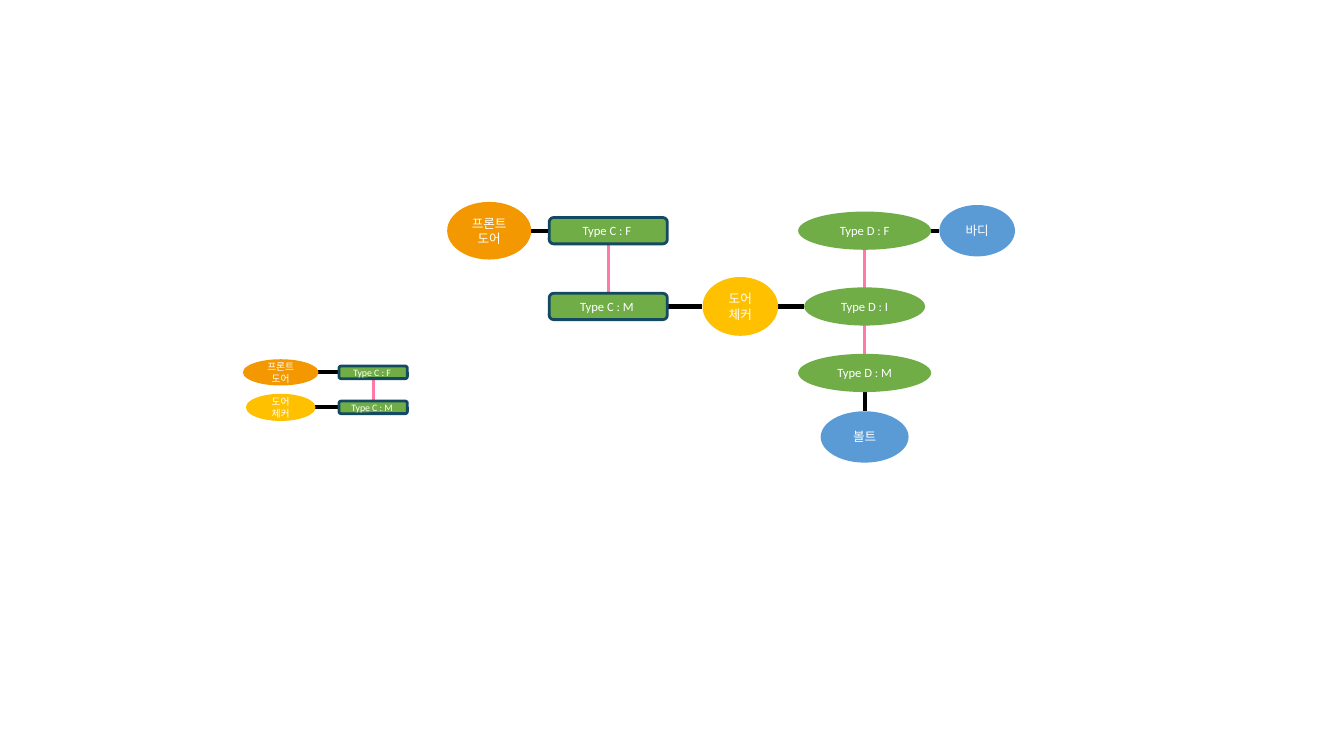
from dataclasses import dataclass

from lxml import etree
from pptx import Presentation
from pptx.dml.color import RGBColor
from pptx.enum.shapes import MSO_CONNECTOR, MSO_SHAPE
from pptx.enum.text import MSO_ANCHOR, PP_ALIGN
from pptx.oxml.ns import qn
from pptx.shapes.group import GroupShape
from pptx.text.text import TextFrame
from pptx.util import Pt

ELLIPSE = MSO_SHAPE.OVAL
ROUNDED = MSO_SHAPE.ROUNDED_RECTANGLE
STRAIGHT = MSO_CONNECTOR.STRAIGHT
MIDDLE = MSO_ANCHOR.MIDDLE
CENTER = PP_ALIGN.CENTER

FONT = "Calibri"
COLORS = {
    "door": "F39800",
    "checker": "FFC000",
    "part": "5B9BD5",
    "type": "70AD47",
    "border": "144962",
    "joint": "000000",
    "mating": "FF79A9",
    "text": "FFFFFF",
}
LINK_WIDTHS = {"joint": 3, "mating": 2.25}
BORDER_WIDTH = 2


@dataclass(frozen=True)
class Node:
    """A labelled shape placed by its centre, in points."""
    text: str
    color: str
    x: float
    y: float
    width: float
    height: float
    bordered: bool = False


@dataclass(frozen=True)
class Link:
    """A joint runs sideways or down between two node edges."""
    start: str
    end: str
    kind: str = "joint"
    vertical: bool = False


@dataclass(frozen=True)
class Diagram:
    font_size: float
    nodes: dict[str, Node]
    links: list[Link]


# Row and column centres
SMALL_TOP, SMALL_BOTTOM = 266, 291
SMALL_LEFT, SMALL_RIGHT = 200.5, 266.6
TOP, MIDDLE_ROW, LOWER, BOTTOM = 164.8, 218.9, 266.4, 312.1
TYPE_C, TYPE_D = 434.5, 617.6

DIAGRAMS = [
    # Small front door and checker pair
    Diagram(
        7,
        {
            "checker": Node("도어\n체커", "checker", SMALL_LEFT, SMALL_BOTTOM, 49.7, 19.4),
            "door": Node("프론트 도어", "door", SMALL_LEFT, SMALL_TOP, 54, 18.8),
            "C:F": Node("Type C : F ", "type", SMALL_RIGHT, SMALL_TOP, 48.8, 9, True),
            "C:M": Node("Type C : M ", "type", SMALL_RIGHT, SMALL_BOTTOM, 48.8, 9, True),
        },
        [
            Link("door", "C:F"),
            Link("checker", "C:M"),
            Link("C:F", "C:M", "mating", True),
        ],
    ),
    # Full assembly
    Diagram(
        9,
        {
            "checker": Node("도어\n체커", "checker", 528.8, MIDDLE_ROW, 54, 42),
            "door": Node("프론트 도어", "door", 349.4, TOP, 60, 41.2),
            "body": Node("바디", "part", 698, TOP, 54, 36.7),
            "C:F": Node("Type C : F ", "type", TYPE_C, TOP, 84.4, 18.8, True),
            "C:M": Node("Type C : M ", "type", TYPE_C, MIDDLE_ROW, 84.4, 18.8, True),
            "D:I": Node("Type D : I", "type", TYPE_D, MIDDLE_ROW, 86.4, 27.3),
            "D:F": Node("Type D : F", "type", TYPE_D, TOP, 95, 27.3),
            "bolt": Node("볼트", "part", TYPE_D, BOTTOM, 62.8, 36.7),
            "D:M": Node("Type D : M", "type", TYPE_D, LOWER, 95, 27.3),
        },
        [
            Link("D:F", "D:M", "mating", True),
            Link("checker", "D:I"),
            Link("door", "C:F"),
            Link("D:F", "body"),
            Link("C:M", "checker"),
            Link("D:M", "bolt", vertical=True),
            Link("C:F", "C:M", "mating", True),
        ],
    ),
]


def color_of(name: str) -> RGBColor:
    return RGBColor.from_string(COLORS[name])


def write_text(frame: TextFrame, text: str, *, size: float, color: str) -> None:
    frame.word_wrap = True
    frame.vertical_anchor = MIDDLE
    frame.text = text
    for paragraph in frame.paragraphs:
        paragraph.alignment = CENTER
        for run in paragraph.runs:
            run.font.name = FONT
            run.font.size = Pt(size)
            run.font.color.rgb = color_of(color)


def draw_node(group: GroupShape, node: Node, font_size: float) -> None:
    shape = group.shapes.add_shape(
        ROUNDED if node.bordered else ELLIPSE,
        Pt(node.x - node.width / 2), Pt(node.y - node.height / 2),
        Pt(node.width), Pt(node.height),
    )
    shape.shadow.inherit = False
    shape.fill.solid()
    shape.fill.fore_color.rgb = color_of(node.color)
    if node.bordered:
        shape.line.color.rgb = color_of("border")
        shape.line.width = Pt(BORDER_WIDTH)
    else:
        shape.line.fill.background()
    write_text(shape.text_frame, node.text, size=font_size, color="text")


def draw_link(group: GroupShape, link: Link, nodes: dict[str, Node]) -> None:
    start, end = nodes[link.start], nodes[link.end]
    if link.vertical:
        ends = (start.x, start.y + start.height / 2, start.x, end.y - end.height / 2)
    else:
        ends = (start.x + start.width / 2, start.y, end.x - end.width / 2, start.y)
    connector = group.shapes.add_connector(STRAIGHT, *(Pt(value) for value in ends))
    connector.line.color.rgb = color_of(link.kind)
    connector.line.width = Pt(LINK_WIDTHS[link.kind])
    etree.SubElement(connector.element.spPr, qn("a:effectLst"))


def main() -> None:
    presentation = Presentation()
    presentation.slide_width, presentation.slide_height = Pt(960), Pt(540)
    slide = presentation.slides.add_slide(presentation.slide_layouts[6])
    for diagram in DIAGRAMS:
        group = slide.shapes.add_group_shape()
        # Links lie behind the nodes
        for link in diagram.links:
            draw_link(group, link, diagram.nodes)
        for node in diagram.nodes.values():
            draw_node(group, node, diagram.font_size)
    presentation.save("out.pptx")


if __name__ == "__main__":
    main()
